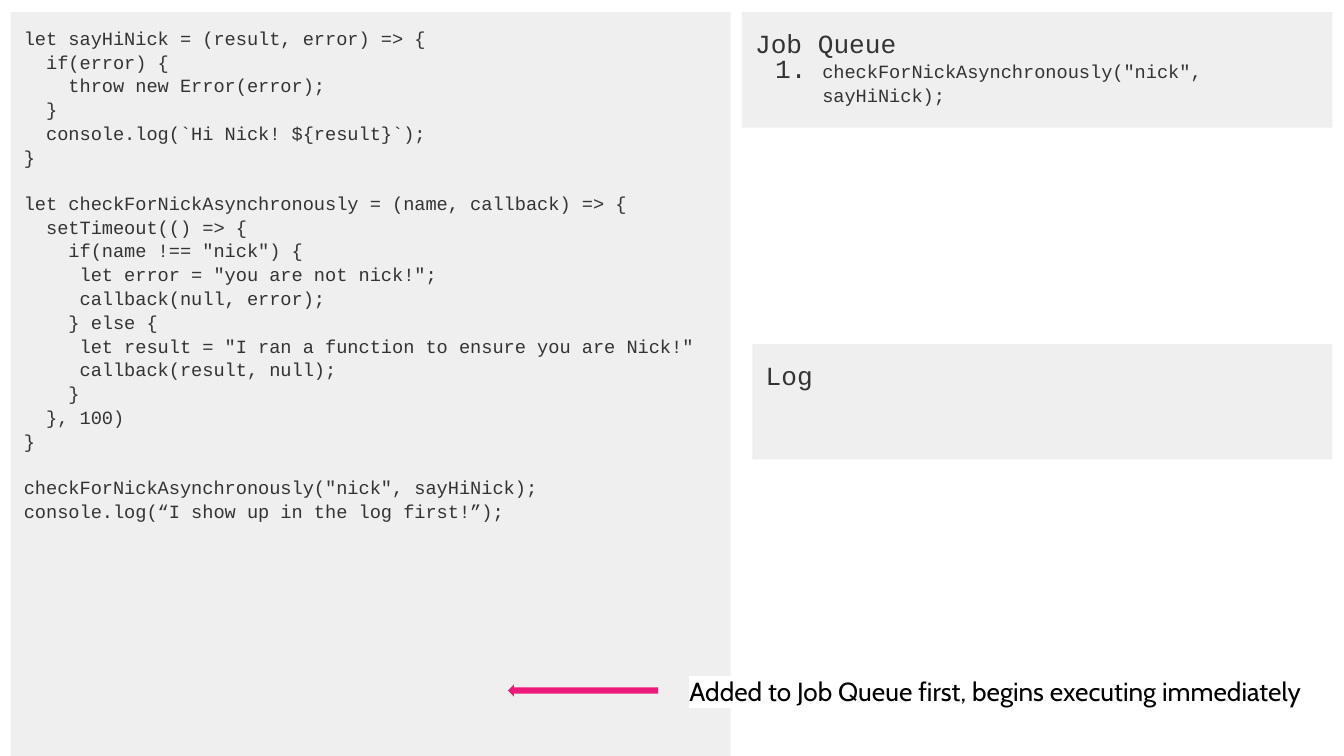
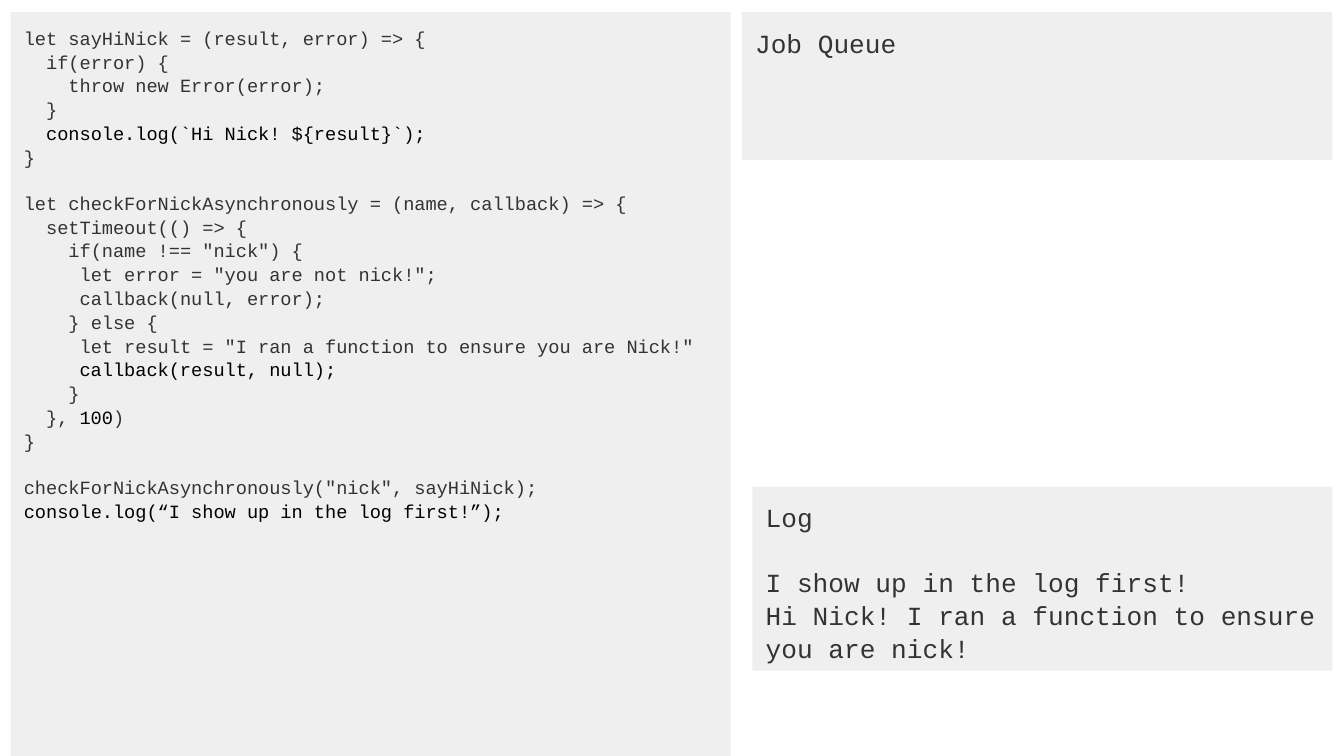
"""Builds two slides that trace asynchronous code through a job queue and a log."""
import pptx
import pptx.dml.color
import pptx.enum.shapes
import pptx.enum.text
import pptx.oxml
import pptx.oxml.ns
import pptx.util
from pptx.util import Cm, Pt

RGB = pptx.dml.color.RGBColor.from_string
THEME = {
    "panel": RGB("EFEFEF"), "text": RGB("333333"), "strong": RGB("000000"),
    "accent": RGB("ED197B"), "highlight": "FFFFFF",
    "code_font": "Courier New", "note_font": "Cabin",
    "code": Pt(10), "label": Pt(14), "leading": 1.06,
}
CODE = [
    """let sayHiNick = (result, error) => {
  if(error) {
    throw new Error(error);
  }
  console.log(`Hi Nick! ${result}`);
}""",
    """let checkForNickAsynchronously = (name, callback) => {
  setTimeout(() => {
    if(name !== "nick") {
     let error = "you are not nick!";
     callback(null, error);
    } else {
     let result = "I ran a function to ensure you are Nick!"
     callback(result, null);
    }
  }, 100)
}""",
    """checkForNickAsynchronously("nick", sayHiNick);
console.log(“I show up in the log first!”);""",
]
SLIDES = [
    {
        "queue": ['checkForNickAsynchronously("nick", sayHiNick);'],
        "log": [],
        "strong": [],
        "queue_height": 2.18, "log_top": 6.5, "log_height": 2.18,
        "note": "Added to Job Queue first, begins executing immediately",
    },
    {
        "queue": [],
        "log": ["I show up in the log first!\nHi Nick! I ran a function to ensure you are nick!"],
        "strong": ["console.log(`Hi Nick! ${result}`);", "callback(result, null);", "100",
                   "console.log(“I show up in the log first!”);"],
        "queue_height": 2.79, "log_top": 9.19, "log_height": 3.48,
        "note": None,
    },
]
FRAME = {
    "word_wrap": True, "auto_size": pptx.enum.text.MSO_AUTO_SIZE.NONE,
    "vertical_anchor": pptx.enum.text.MSO_ANCHOR.TOP,
    "margin_left": Cm(0.25), "margin_top": Cm(0.25),
    "margin_right": Cm(0.25), "margin_bottom": Cm(0.25),
}
RIGHT = 25.18
TOP = 0.23


def apply(obj, fmt):
    for name, value in fmt.items():
        setattr(obj, name, value)


def place(sp, left, top, width, height):
    apply(sp, {"left": Cm(left), "top": Cm(top), "width": Cm(width), "height": Cm(height)})


def add_run(p, text, size, font="code_font", color="text"):
    r = p.add_run()
    r.text = text
    apply(r.font, {"size": THEME[size], "name": THEME[font], "bold": False})
    r.font.color.rgb = THEME[color]
    return r


def set_bullet(p, numbered):
    pPr = p._p.get_or_add_pPr()
    pPr.set("marL", str(Cm(1.27 if numbered else 0)))
    pPr.set("indent", str(Cm(-0.89 if numbered else 0)))
    marks = ["<a:buNone {ns}/>"]
    if numbered:
        marks = [f'<a:buClr {{ns}}><a:srgbClr val="{THEME["text"]}"/></a:buClr>',
                 '<a:buSzPct {ns} val="140000"/>',
                 f'<a:buFont {{ns}} typeface="{THEME["code_font"]}"/>',
                 '<a:buAutoNum {ns} type="arabicPeriod"/>']
    for mark in marks:
        pPr.append(pptx.oxml.parse_xml(mark.format(ns=pptx.oxml.ns.nsdecls("a"))))


def split_strong(line, strong):
    for part in strong:
        if part in line:
            before, _, after = line.partition(part)
            return [(before, "text"), (part, "strong"), (after, "text")]
    return [(line, "text")]


def fill_panel(sp, box, blocks, size, strong=(), numbered=False):
    place(sp, *box)
    sp.fill.solid()
    sp.fill.fore_color.rgb = THEME["panel"]
    tf = sp.text_frame
    apply(tf, FRAME)
    p = tf.paragraphs[0]
    for b, block in enumerate(blocks):
        for n, line in enumerate(block.split("\n")):
            if b or n:
                p = tf.add_paragraph()
            item = numbered and b > 0
            gap = int(THEME[size] * 1.2) if b and not n and not item else 0
            set_bullet(p, item)
            apply(p, {"line_spacing": THEME["leading"], "space_before": gap, "space_after": 0})
            for text, color in split_strong(line, strong):
                if text:
                    add_run(p, text, "code" if item else size, color=color)


def add_note(s, text):
    arrow = s.shapes.add_shape(pptx.enum.shapes.MSO_SHAPE.LEFT_ARROW,
                               Cm(9.6), Cm(12.93), Cm(2.84), Cm(0.23))
    arrow.shadow.inherit = False
    arrow.fill.solid()
    arrow.fill.fore_color.rgb = THEME["accent"]
    arrow.line.fill.background()
    tf = s.shapes.add_textbox(Cm(12.78), Cm(12.5), Cm(12.42), Cm(1.09)).text_frame
    apply(tf, FRAME)
    r = add_run(tf.paragraphs[0], text, "label", "note_font", "strong")
    highlight = pptx.oxml.parse_xml(
        f'<a:highlight {pptx.oxml.ns.nsdecls("a")}>'
        f'<a:srgbClr val="{THEME["highlight"]}"/></a:highlight>')
    r.font._element.find(pptx.oxml.ns.qn("a:latin")).addprevious(highlight)


def build_slide(prs, data):
    s = prs.slides.add_slide(prs.slide_layouts.get_by_name("Comparison"))
    code, queue, log, *unused = [sp for sp in s.placeholders if sp != s.shapes.title]
    for sp in [s.shapes.title, *unused]:
        sp.element.getparent().remove(sp.element)
    fill_panel(code, (0.2, TOP, 13.61, 14.05), CODE, "code", data["strong"])
    fill_panel(queue, (14.02, TOP, RIGHT - 14.02, data["queue_height"]),
               ["Job Queue", *data["queue"]], "label", numbered=True)
    fill_panel(log, (14.22, data["log_top"], RIGHT - 14.22, data["log_height"]),
               ["Log", *data["log"]], "label")
    if data["note"]:
        add_note(s, data["note"])


def main():
    prs = pptx.Presentation()
    apply(prs, {"slide_width": Cm(25.4), "slide_height": Cm(14.28)})
    for data in SLIDES:
        build_slide(prs, data)
    prs.save("out.pptx")


if __name__ == "__main__":
    main()
